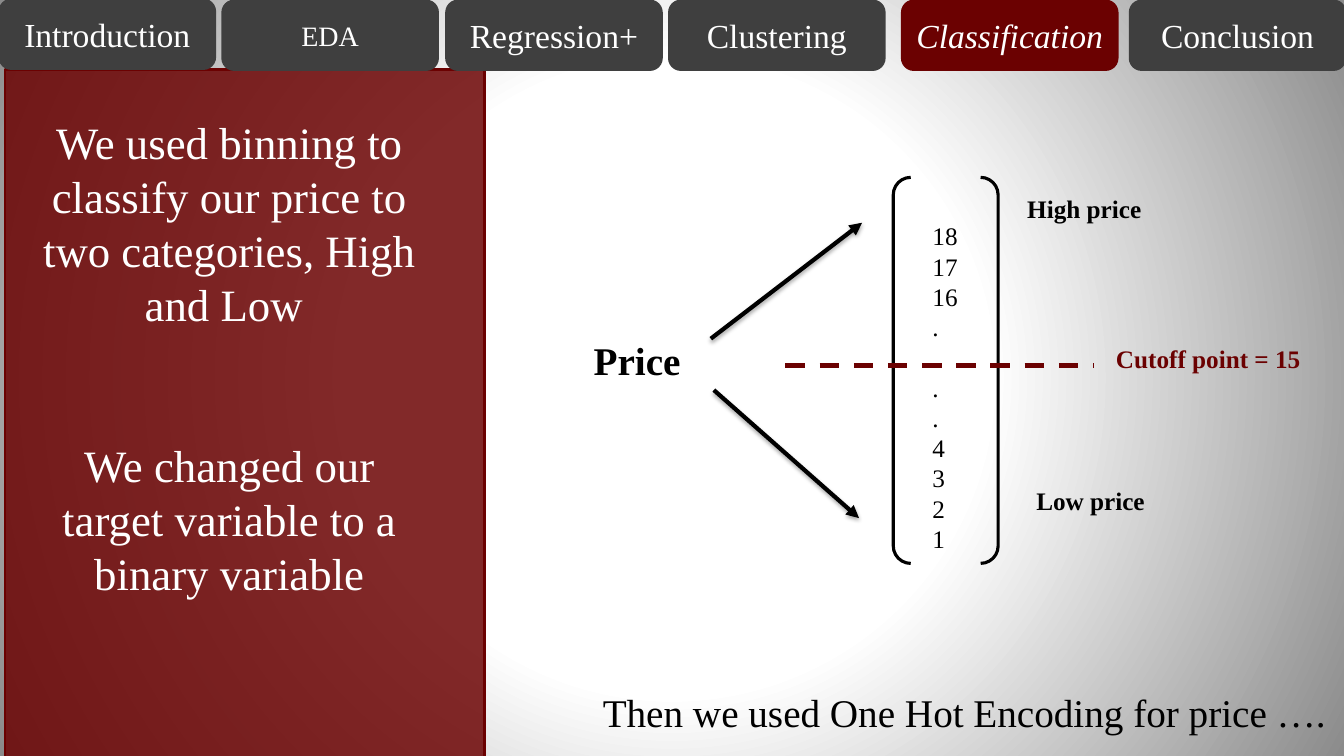
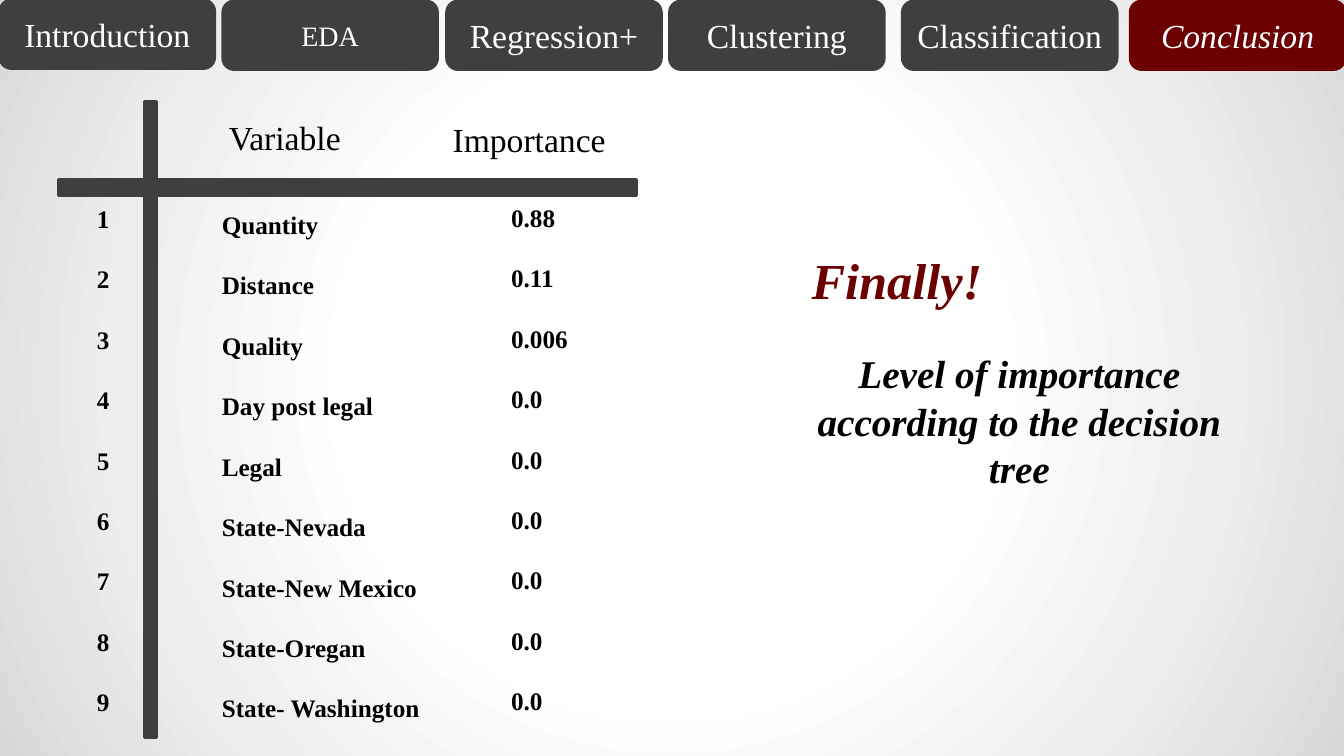
from dataclasses import dataclass

from lxml.etree import SubElement
from pptx import Presentation
from pptx.dml.color import RGBColor
from pptx.enum.dml import MSO_LINE
from pptx.enum.shapes import MSO_CONNECTOR, MSO_SHAPE
from pptx.enum.text import MSO_ANCHOR, MSO_AUTO_SIZE, PP_ALIGN
from pptx.oxml import parse_xml
from pptx.oxml.ns import nsdecls, qn
from pptx.util import Inches, Pt

# Shared look
BLACK = RGBColor(0x00, 0x00, 0x00)
WHITE = RGBColor(0xFF, 0xFF, 0xFF)
MAROON = RGBColor(0x6B, 0x01, 0x01)
CHARCOAL = RGBColor(0x3F, 0x3F, 0x3F)
FONT = "Times New Roman"
CELL = Inches(0.1)  # the slide is a grid of 75 rows of square cells
NO_GRID_STYLE = "{2D5ABB26-0587-4C30-8999-92F81FD0307C}"


@dataclass(frozen=True)
class Box:
    """A place on the grid, in columns and rows."""
    col: float
    row: float
    cols: float
    rows: float

    def emu(self) -> tuple[int, ...]:
        return tuple(round(n * CELL) for n in (self.col, self.row, self.cols, self.rows))


@dataclass(frozen=True)
class Style:
    size: float
    color: RGBColor = BLACK
    bold: bool = False
    italic: bool = False
    align: PP_ALIGN = PP_ALIGN.LEFT
    before: float = 0


@dataclass(frozen=True)
class Tab:
    label: str
    col: float
    row: float = 0.1
    size: float = 24


@dataclass(frozen=True)
class Label:
    text: str
    box: Box
    style: Style


@dataclass(frozen=True)
class Column:
    """A table column: width, text insets (in cells) and wording."""
    cols: float
    header: str
    header_inset: tuple[float, float]
    value_inset: tuple[float, float]
    values: tuple[str, ...]


TABS = (
    Tab("Introduction", 0, row=0),
    Tab("EDA", 22.1, size=20),
    Tab("Regression+", 44.3),
    Tab("Clustering", 66.4),
    Tab("Classification", 89.5),
    Tab("Conclusion", 112.1),
)


# Drawing helpers
def write(paragraph, text: str, style: Style) -> None:
    paragraph.text = text
    paragraph.alignment = style.align
    paragraph.space_before = Pt(style.before)
    font = paragraph.font
    font.name, font.size = FONT, Pt(style.size)
    font.bold, font.italic = style.bold, style.italic
    font.color.rgb = style.color


def write_lines(frame, lines: list[tuple[str, Style]]) -> None:
    frame.word_wrap = True
    frame.auto_size = MSO_AUTO_SIZE.NONE
    for index, (text, style) in enumerate(lines):
        paragraph = frame.paragraphs[0] if index == 0 else frame.add_paragraph()
        write(paragraph, text, style)


def add_label(slide, label: Label) -> None:
    frame = slide.shapes.add_textbox(*label.box.emu()).text_frame
    write_lines(frame, [(label.text, label.style)])


def add_block(slide, kind: MSO_SHAPE, box: Box, color: RGBColor):
    block = slide.shapes.add_shape(kind, *box.emu())
    block.shadow.inherit = False
    block.fill.solid()
    block.fill.fore_color.rgb = color
    block.line.color.rgb = color
    block.line.width = Pt(2)
    return block


def fill_placeholder(slide, placeholder, box: Box, lines: list[tuple[str, Style]]) -> None:
    """Move a placeholder to the front, and write it without bullets."""
    placeholder.left, placeholder.top, placeholder.width, placeholder.height = box.emu()
    write_lines(placeholder.text_frame, lines)
    for paragraph in placeholder.text_frame.paragraphs:
        properties = paragraph._p.get_or_add_pPr()
        properties.set("marL", "0")
        properties.set("indent", "0")
        SubElement(properties, qn("a:buNone"))
        for default in properties.findall(qn("a:defRPr")):
            properties.append(default)
    slide.shapes._spTree.append(placeholder._element)


def add_line(slide, start: tuple[float, float], end: tuple[float, float],
             color: RGBColor, width: float):
    points = [round(n * CELL) for n in (*start, *end)]
    line = slide.shapes.add_connector(MSO_CONNECTOR.STRAIGHT, *points)
    line.line.color.rgb = color
    line.line.width = Pt(width)
    effects = SubElement(line._element.spPr, qn("a:effectLst"))
    return line, effects


def add_arrow(slide, start: tuple[float, float], end: tuple[float, float]) -> None:
    arrow, effects = add_line(slide, start, end, BLACK, 3)
    SubElement(arrow.line._get_or_add_ln(), qn("a:tailEnd"), type="triangle")
    effects.append(parse_xml(
        f'<a:outerShdw {nsdecls("a")} blurRad="39370" dist="22860" dir="5400000" '
        'rotWithShape="0"><a:srgbClr val="000000"><a:alpha val="35000"/>'
        '</a:srgbClr></a:outerShdw>'))


def set_background(slide, stops: list[tuple[int, str]]) -> None:
    stop_xml = "".join(f'<a:gs pos="{share * 1000}"><a:srgbClr val="{color}"/></a:gs>'
                       for share, color in stops)
    slide._element.cSld.insert(0, parse_xml(
        f'<p:bg {nsdecls("p", "a")}><p:bgPr><a:gradFill rotWithShape="1">'
        f'<a:gsLst>{stop_xml}</a:gsLst><a:path path="circle">'
        '<a:fillToRect l="50000" t="50000" r="50000" b="50000"/></a:path>'
        '</a:gradFill><a:effectLst/></p:bgPr></p:bg>'))


def add_tabs(slide, active: str) -> None:
    """Draw the navigation band; the active tab carries the slide title."""
    for tab in TABS:
        is_active = tab.label == active
        box = Box(tab.col, tab.row, 21.3, 6.8)
        block = add_block(slide, MSO_SHAPE.ROUNDED_RECTANGLE, box,
                          MAROON if is_active else CHARCOAL)
        lines = [(tab.label, Style(tab.size, WHITE, italic=is_active,
                                   align=PP_ALIGN.CENTER))]
        if is_active:
            fill_placeholder(slide, slide.shapes.title, box, lines)
        else:
            block.text_frame.vertical_anchor = MSO_ANCHOR.MIDDLE
            write_lines(block.text_frame, lines)


def add_table(slide, col: float, row: float, header_rows: float, value_rows: float,
              columns: tuple[Column, ...]) -> None:
    count = len(columns[0].values)
    box = Box(col, row, sum(c.cols for c in columns), header_rows + count * value_rows)
    frame = slide.shapes.add_table(count + 1, len(columns), *box.emu())
    table = frame.table
    table.first_row = table.horz_banding = False
    table._tbl.tblPr.find(qn("a:tableStyleId")).text = NO_GRID_STYLE
    for index in range(count + 1):
        table.rows[index].height = round((value_rows if index else header_rows) * CELL)
    for x, column in enumerate(columns):
        table.columns[x].width = round(column.cols * CELL)
        for y, text in enumerate((column.header, *column.values)):
            cell = table.cell(y, x)
            cell.fill.background()
            left, top = column.value_inset if y else column.header_inset
            cell.margin_left, cell.margin_top = round(left * CELL), round(top * CELL)
            cell.margin_right = cell.margin_bottom = 0
            write(cell.text_frame.paragraphs[0], text,
                  Style(18, bold=True) if y else Style(24))


# Slides
def build_classification(slide) -> None:
    set_background(slide, [(0, "FFFFFF"), (41, "FFFFFF"), (100, "8B8B8B")])

    # Explanation panel
    panel = add_block(slide, MSO_SHAPE.RECTANGLE, Box(0.5, 6.9, 47.6, 68.3), MAROON)
    panel_color = panel._element.spPr.find(qn("a:solidFill"))[0]
    SubElement(panel_color, qn("a:alpha"), val="84000")
    fill_placeholder(slide, slide.placeholders[1], Box(3, 10.9, 39.5, 49.5), [
        ("We used binning to classify our price to two categories, High and Low ",
         Style(32, WHITE, align=PP_ALIGN.CENTER)),
        ("We changed our target variable to a binary variable",
         Style(32, WHITE, align=PP_ALIGN.CENTER, before=77)),
    ])

    # Price split into bins
    add_arrow(slide, (70.5, 33.6), (85.5, 22.1))
    add_arrow(slide, (70.8, 38.7), (85.2, 51.4))
    bracket = slide.shapes.add_shape(MSO_SHAPE.DOUBLE_BRACKET,
                                     *Box(88.6, 17.6, 10.4, 38.3).emu())
    bracket.shadow.inherit = False
    bracket.fill.background()
    bracket.line.color.rgb = BLACK
    bracket.line.width = Pt(2.25)
    prices = slide.shapes.add_textbox(*Box(91.5, 21.4, 7.5, 34).emu())
    write_lines(prices.text_frame, [(price, Style(18)) for price in
                                    ("18", "17", "16", *"....", "4", "3", "2", "1")])
    cutoff, _ = add_line(slide, (77.9, 36.3), (108.5, 36.3), MAROON, 3.5)
    cutoff.line.dash_style = MSO_LINE.DASH

    for label in (
        Label("Price", Box(57.9, 32.9, 11.5, 5.7), Style(28, bold=True)),
        Label("Cutoff point = 15", Box(109.7, 33.6, 21.3, 4), Style(18, MAROON, True)),
        Label("High price", Box(100.9, 18.7, 13.4, 4), Style(18, bold=True)),
        Label("Low price", Box(101.8, 47.7, 13.4, 4), Style(18, bold=True)),
        Label("Then we used One Hot Encoding for price ….",
              Box(58.8, 67.8, 74.5, 5.7), Style(28)),
    ):
        add_label(slide, label)
    add_tabs(slide, "Classification")


def build_conclusion(slide) -> None:
    set_background(slide, [(0, "FFFFFF"), (41, "FFFFFF"), (72, "EEEEEE"), (100, "D8D8D8")])
    add_tabs(slide, "Conclusion")

    # Importance table with its crossed bars
    for bar in (Box(5.8, 17.8, 57.3, 1.6), Box(14.3, 10.1, 1.2, 63.1)):
        add_block(slide, MSO_SHAPE.RECTANGLE, bar, CHARCOAL)
    variables = ("Quantity", "Distance", "Quality", "Day post legal", "Legal",
                 "State-Nevada", "State-New Mexico", "State-Oregan", "State- Washington")
    importances = ("0.88", "0.11", "0.006", *("0.0",) * 6)
    ranks = tuple(str(n + 1) for n in range(len(variables)))
    add_table(slide, 8.6, 11.5, 8.3, 6, (
        Column(12.4, "", (1, 0.5), (1, 0.6), ranks),
        Column(22.9, "Variable", (1.7, 0.5), (1, 1.2), variables),
        Column(19.2, "Importance", (1, 0.7), (6.8, 0.5), importances),
    ))

    # Closing message
    fill_placeholder(slide, slide.placeholders[1], Box(79.5, 24.2, 43.2, 25.2), [
        ("Finally!", Style(36, MAROON, True, True)),
        ("Level of importance according to the decision tree",
         Style(28, BLACK, True, True, PP_ALIGN.CENTER, before=28.8)),
    ])


def main() -> None:
    deck = Presentation()
    deck.slide_width, deck.slide_height = Inches(13.33), Inches(7.5)
    for build in (build_classification, build_conclusion):
        build(deck.slides.add_slide(deck.slide_layouts[1]))
    deck.save("out.pptx")


if __name__ == "__main__":
    main()
